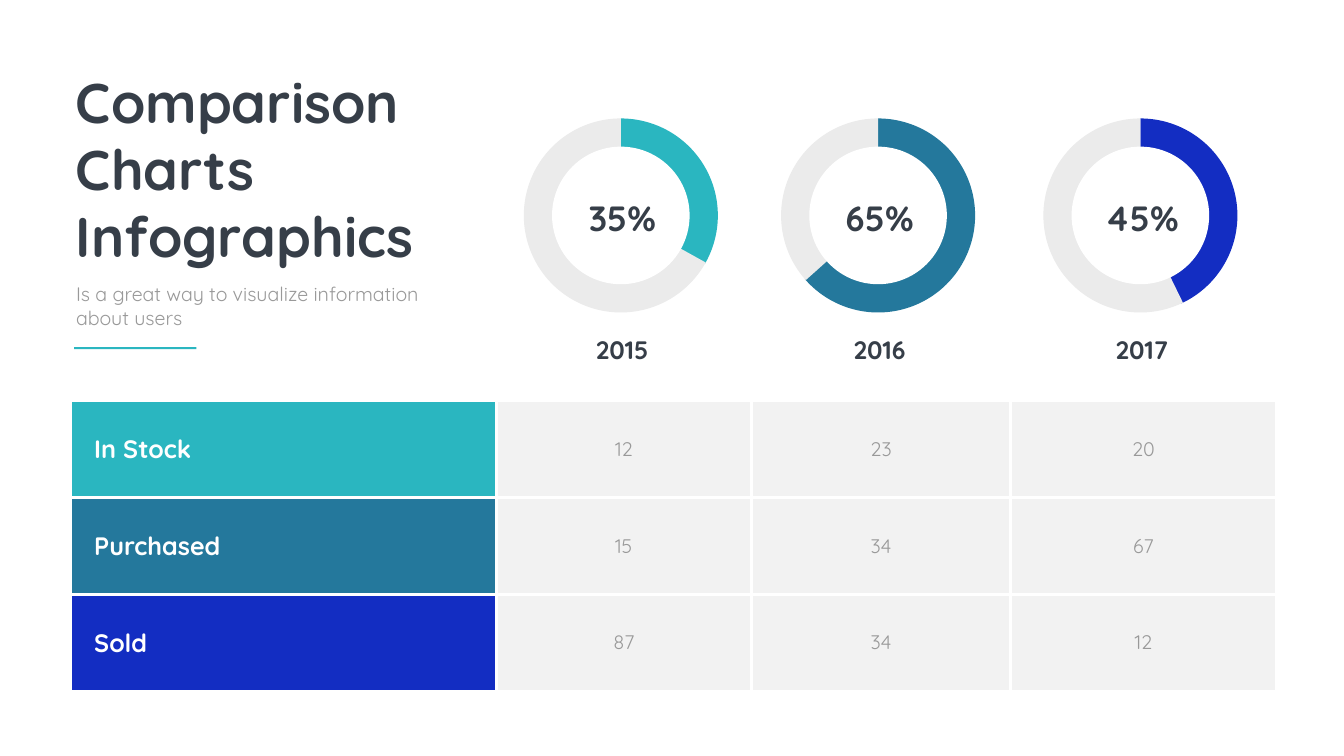
from itertools import accumulate

from lxml import etree
from pptx import Presentation
from pptx import util as u
from pptx.dml.color import RGBColor
from pptx.enum import shapes, text
from pptx.oxml import ns

TEAL = RGBColor(0x2A, 0xB6, 0xC0)
STEEL = RGBColor(0x24, 0x78, 0x9C)
BLUE = RGBColor(0x13, 0x2D, 0xC2)
TRACK = RGBColor(0xEB, 0xEB, 0xEB)
CELL = RGBColor(0xF2, 0xF2, 0xF2)
DARK = RGBColor(0x36, 0x3E, 0x48)
GREY = RGBColor(0x99, 0x99, 0x99)
WHITE = RGBColor(0xFF, 0xFF, 0xFF)
FONT = "Quicksand"

LEFT, TABLE_TOP, ROW_HEIGHT = 1.41, 7.95, 1.92
COLUMNS = [8.44, 5.06, 5.15, 5.26]
EDGES = list(accumulate(COLUMNS, initial=LEFT))
RING_TOP, RING, HOLE = 2.35, 3.85, 2.73
LABEL_WIDTH = 2.6
TOP_ANGLE = 270

# year, share, angle at which the coloured arc ends, colour
YEARS = [
    ("2015", "35%", 29, TEAL),
    ("2016", "65%", 138.2, STEEL),
    ("2017", "45%", 64, BLUE),
]
STATUSES = [
    ("In Stock", TEAL, (12, 23, 20)),
    ("Purchased", STEEL, (15, 34, 67)),
    ("Sold", BLUE, (87, 34, 12)),
]


def style(paragraph, size, color, bold=False, align=text.PP_ALIGN.LEFT):
    paragraph.alignment = align
    font = paragraph.font
    font.name, font.size, font.bold = FONT, u.Pt(size), bold
    font.color.rgb = color


def add_text(slide, box, lines, size, color, wrap=True, **options):
    frame = slide.shapes.add_textbox(*map(u.Inches, box)).text_frame
    frame.word_wrap = wrap
    frame.auto_size = text.MSO_AUTO_SIZE.SHAPE_TO_FIT_TEXT
    frame.text = "\n".join(lines)
    for paragraph in frame.paragraphs:
        style(paragraph, size, color, **options)


def add_plain(container, kind, box, color):
    """Add a filled shape without outline or shadow."""
    shape = container.shapes.add_shape(kind, *map(u.Inches, box))
    shape.shadow.inherit = False
    shape.fill.solid()
    shape.fill.fore_color.rgb = color
    shape.line.fill.background()
    return shape


def add_pie(group, box, start, end, color):
    pie = add_plain(group, shapes.MSO_SHAPE.PIE, box, color)
    # Angles are stored in 60000ths of a degree, adjustments in 100000ths.
    pie.adjustments[0], pie.adjustments[1] = start * 0.6, end * 0.6


def add_ring(slide, center, end, color):
    group = slide.shapes.add_group_shape()
    box = (center - RING / 2, RING_TOP, RING, RING)
    inset = (RING - HOLE) / 2
    add_pie(group, box, TOP_ANGLE, end + 1, color)
    add_pie(group, box, end, TOP_ANGLE, TRACK)
    add_plain(group, shapes.MSO_SHAPE.OVAL,
              (box[0] + inset, RING_TOP + inset, HOLE, HOLE), WHITE)


def set_borders(cell, color, points):
    properties = cell._tc.get_or_add_tcPr()
    for side in ("a:lnL", "a:lnR", "a:lnT", "a:lnB"):
        line = etree.SubElement(properties, ns.qn(side), w=str(u.Pt(points)))
        fill = etree.SubElement(line, ns.qn("a:solidFill"))
        etree.SubElement(fill, ns.qn("a:srgbClr"), val=str(color))


def fill_cell(cell, content, fill, *args, **options):
    set_borders(cell, WHITE, 4.5)
    cell.fill.solid()
    cell.fill.fore_color.rgb = fill
    cell.vertical_anchor = text.MSO_ANCHOR.MIDDLE
    cell.text = str(content)
    style(cell.text_frame.paragraphs[0], *args, **options)


def add_status_table(slide):
    table = slide.shapes.add_table(
        len(STATUSES), len(COLUMNS), u.Inches(LEFT), u.Inches(TABLE_TOP),
        u.Inches(sum(COLUMNS)), u.Inches(ROW_HEIGHT * len(STATUSES))).table
    table.first_row = table.horz_banding = False
    for column, width in zip(table.columns, COLUMNS):
        column.width = u.Inches(width)
    for r, (status, color, counts) in enumerate(STATUSES):
        table.rows[r].height = u.Inches(ROW_HEIGHT)
        heading = table.cell(r, 0)
        fill_cell(heading, status, color, 36, WHITE, bold=True)
        heading.margin_left = u.Inches(0.46)
        for c, count in enumerate(counts, 1):
            fill_cell(table.cell(r, c), count, CELL, 28, GREY,
                      align=text.PP_ALIGN.CENTER)


def add_year(slide, column, year, share, end, color):
    center = EDGES[column] + COLUMNS[column] / 2 - 0.03
    add_ring(slide, center - 0.03, end, color)
    for label, top, height, size in ((share, 3.84, 0.94, 50),
                                     (year, 6.58, 0.71, 36)):
        add_text(slide, (center - LABEL_WIDTH / 2, top, LABEL_WIDTH, height),
                 [label], size, DARK, bold=True, align=text.PP_ALIGN.CENTER)


def main():
    deck = Presentation()
    deck.slide_width, deck.slide_height = u.Inches(26.67), u.Inches(15)
    slide = deck.slides.add_slide(deck.slide_layouts[6])

    add_text(slide, (LEFT, 1.29, 7.16, 4.14),
             ["Comparison", "Charts", "Infographics"], 80, DARK,
             wrap=False, bold=True)
    add_text(slide, (LEFT, 5.55, 7.49, 1.04),
             ["Is a great way to visualize information", "about users"],
             28, GREY)
    add_plain(slide, shapes.MSO_SHAPE.RECTANGLE, (1.47, 6.89, 2.43, 0.04), TEAL)
    for column, year in enumerate(YEARS, 1):
        add_year(slide, column, *year)
    add_status_table(slide)

    deck.save("out.pptx")


if __name__ == "__main__":
    main()
